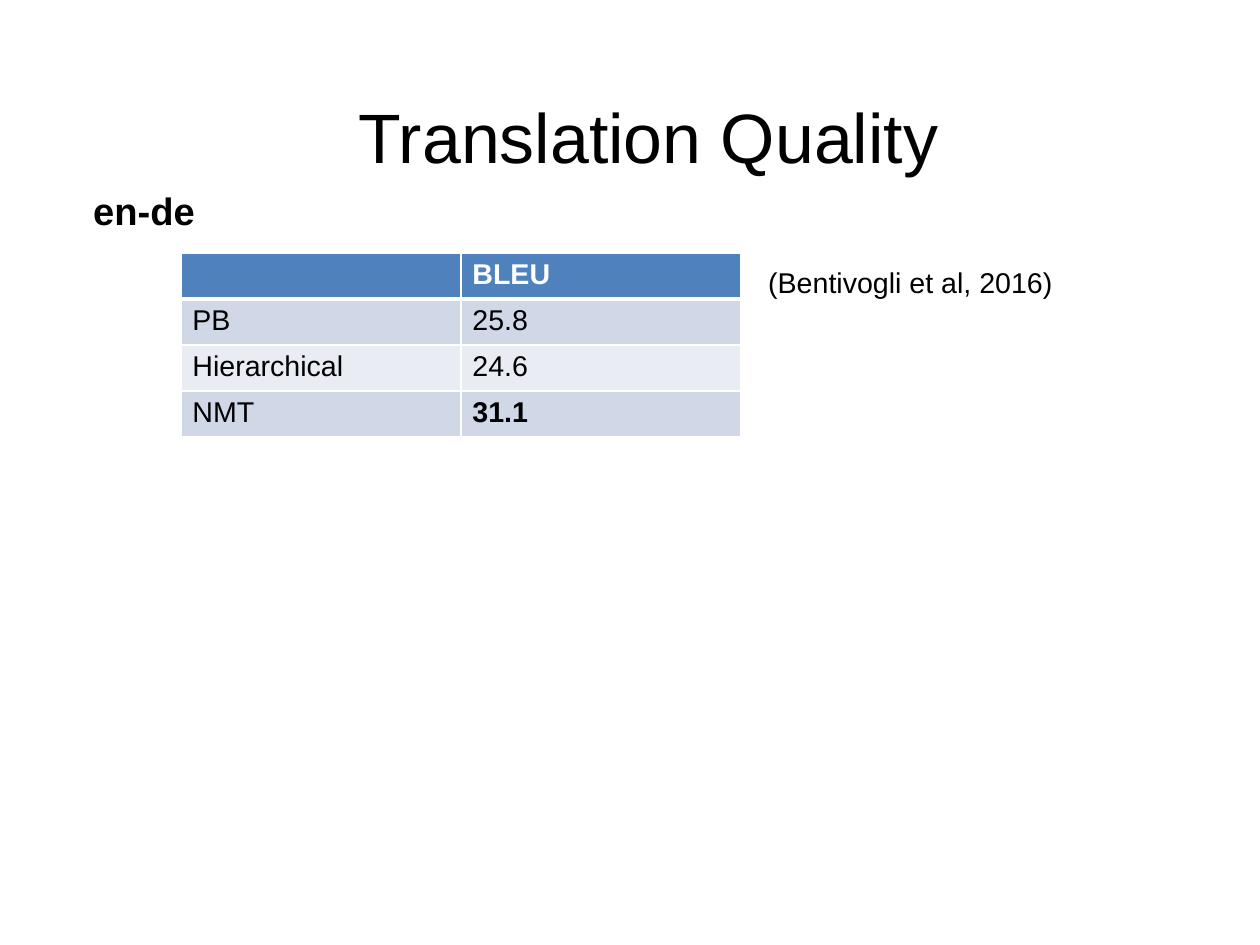
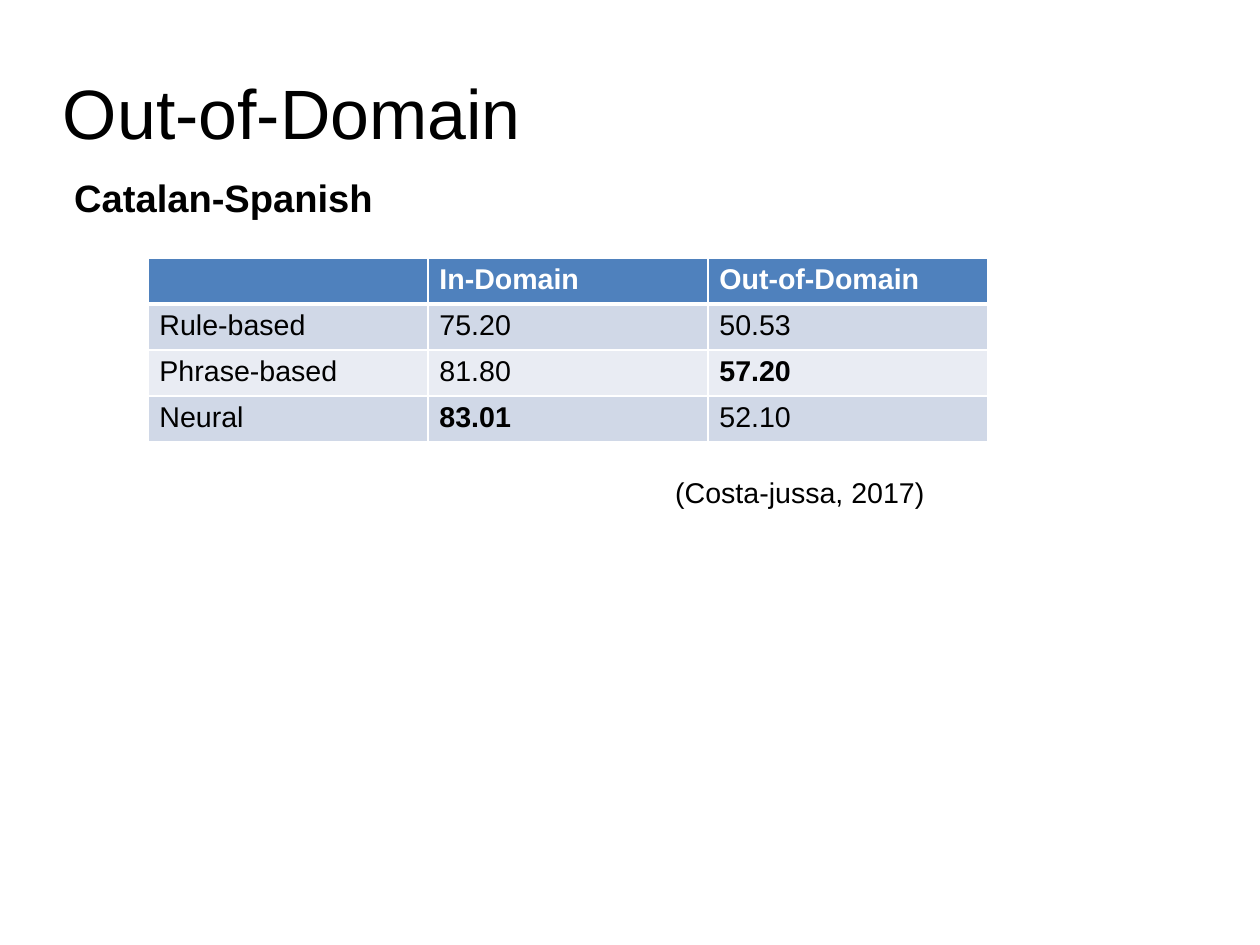
"""Build two slides that compare translation quality in tables."""
import pptx
import pptx.dml.color
import pptx.enum.text
import pptx.oxml
import pptx.oxml.ns
import pptx.util
from lxml import etree

SLIDES = [
    {
        "title": "Translation Quality", "title_at": (82, 57), "centred": True,
        "subtitle": "en-de", "subtitle_at": (82, 182),
        "citation": "(Bentivogli et al, 2016)", "citation_at": (757, 259),
        "table_at": (181, 253),
        "rows": [("", "BLEU"), ("PB", "25.8"), ("Hierarchical", "24.6"), ("NMT", "31.1")],
        "best": {"31.1"},
    },
    {
        "title": "Out-of-Domain", "title_at": (63, 38), "centred": False,
        "subtitle": "Catalan-Spanish", "subtitle_at": (63, 169),
        "citation": "(Costa-jussa, 2017)", "citation_at": (664, 469),
        "table_at": (148, 258),
        "rows": [
            ("", "In-Domain", "Out-of-Domain"),
            ("Rule-based", "75.20", "50.53"),
            ("Phrase-based", "81.80", "57.20"),
            ("Neural", "83.01", "52.10"),
        ],
        "best": {"57.20", "83.01"},
    },
]
SLIDE_SIZE = (1260, 945)
TITLE_SIZE = (1134, 158)
SUBTITLE_SIZE = (432, 51)
CITATION_SIZE = (432, 75)
COLUMN_WIDTH, ROW_HEIGHT = 280, 46
FONT = "Arial"
BLACK, WHITE, HEADER = "000000", "FFFFFF", "4F81BD"
BANDS = ("E9ECF3", "D0D8E7")
THIN, THICK = 0.96, 3


def px(value):
    return pptx.util.Emu(value * 8000)


def color(value):
    return pptx.dml.color.RGBColor.from_string(value)


def style_text(paragraph, size, bold=False, ink=BLACK):
    for run in paragraph.runs:
        run.font.name = FONT
        run.font.size = pptx.util.Pt(size)
        run.font.bold = bold
        run.font.color.rgb = color(ink)


def add_text(slide, text, at, box, size, bold=False):
    shape = slide.shapes.add_textbox(*map(px, at + box))
    frame = shape.text_frame
    frame.word_wrap = True
    frame.text = text
    style_text(frame.paragraphs[0], size, bold)
    return frame


def add_title(slide, text, at, centred):
    frame = add_text(slide, text, at, TITLE_SIZE, 44)
    frame.margin_left = frame.margin_right = frame.margin_top = frame.margin_bottom = 0
    frame.vertical_anchor = pptx.enum.text.MSO_ANCHOR.MIDDLE
    if centred:
        frame.paragraphs[0].alignment = pptx.enum.text.PP_ALIGN.CENTER
    else:
        frame.paragraphs[0].line_spacing = 0.9


def set_borders(cell, top, bottom):
    properties = cell._tc.get_or_add_tcPr()
    qualified = pptx.oxml.ns.qn
    for side, width in (("L", THIN), ("R", THIN), ("T", top), ("B", bottom)):
        line = etree.SubElement(properties, qualified("a:ln" + side), w=str(pptx.util.Pt(width)))
        fill = etree.SubElement(line, qualified("a:solidFill"))
        etree.SubElement(fill, qualified("a:srgbClr"), val=WHITE)


def add_results(slide, rows, best, at):
    count, width = len(rows), len(rows[0])
    box = (width * COLUMN_WIDTH, count * ROW_HEIGHT)
    table = slide.shapes.add_table(count, width, *map(px, at + box)).table
    for row_index, row in enumerate(rows):
        is_header = row_index == 0
        for column_index, text in enumerate(row):
            cell = table.cell(row_index, column_index)
            cell.text = text
            style_text(cell.text_frame.paragraphs[0], 18, is_header or text in best,
                       WHITE if is_header else BLACK)
            set_borders(cell, THICK if row_index == 1 else THIN, THICK if is_header else THIN)
            cell.fill.solid()
            cell.fill.fore_color.rgb = color(HEADER if is_header else BANDS[row_index % 2])


presentation = pptx.Presentation()
presentation.slide_width, presentation.slide_height = map(px, SLIDE_SIZE)
for content in SLIDES:
    slide = presentation.slides.add_slide(presentation.slide_layouts[6])
    add_title(slide, content["title"], content["title_at"], content["centred"])
    add_text(slide, content["subtitle"], content["subtitle_at"], SUBTITLE_SIZE, 24, True)
    add_results(slide, content["rows"], content["best"], content["table_at"])
    add_text(slide, content["citation"], content["citation_at"], CITATION_SIZE, 18)
presentation.save("out.pptx")
